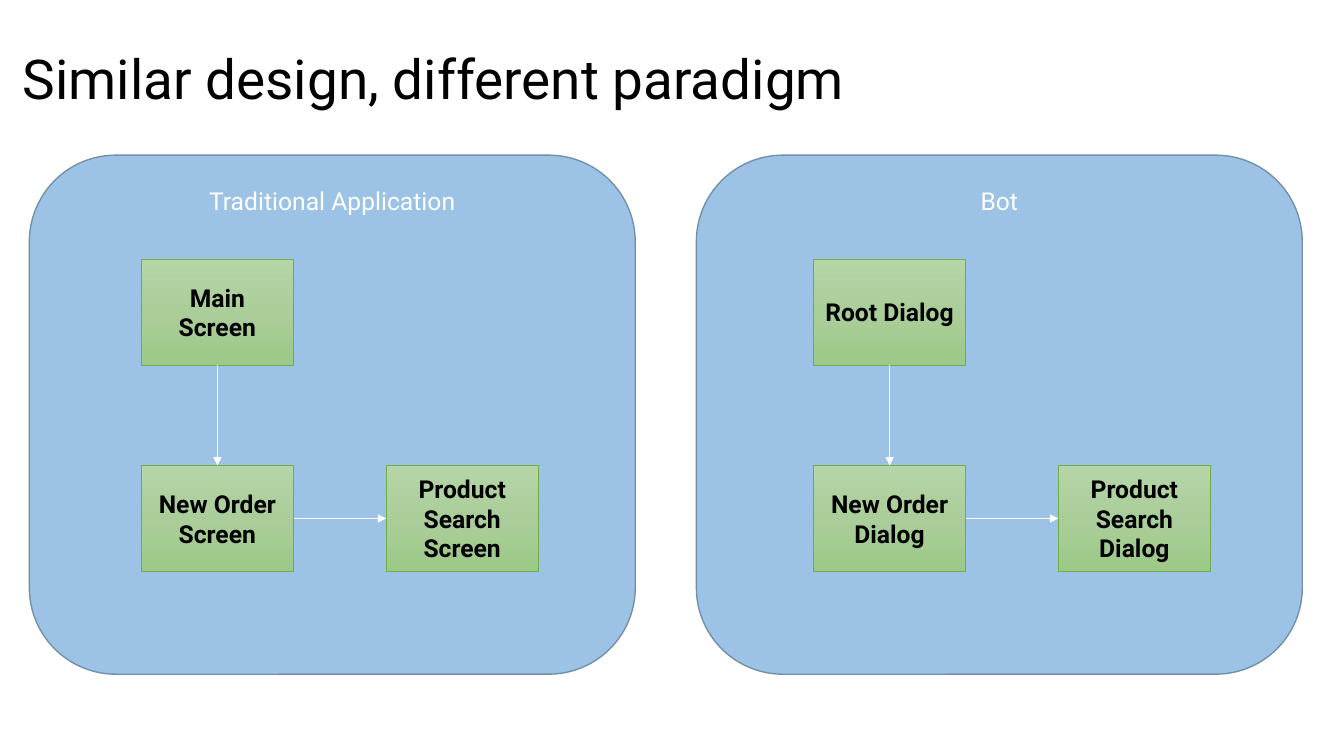
from copy import deepcopy

from lxml import etree
from pptx import Presentation
from pptx.dml.color import RGBColor
from pptx.enum.shapes import MSO_CONNECTOR, MSO_SHAPE
from pptx.enum.text import MSO_ANCHOR, PP_ALIGN
from pptx.oxml.ns import qn
from pptx.util import Cm, Pt

ROUNDED, RECTANGLE = MSO_SHAPE.ROUNDED_RECTANGLE, MSO_SHAPE.RECTANGLE
STRAIGHT = MSO_CONNECTOR.STRAIGHT
TOP, MIDDLE = MSO_ANCHOR.TOP, MSO_ANCHOR.MIDDLE
LEFT, CENTER = PP_ALIGN.LEFT, PP_ALIGN.CENTER
SIDE_TOP, SIDE_LEFT, SIDE_BOTTOM, SIDE_RIGHT = range(4)

BLACK = RGBColor(0x00, 0x00, 0x00)
WHITE = RGBColor(0xFF, 0xFF, 0xFF)
PANEL_BLUE = RGBColor(0x9C, 0xC3, 0xE5)
PANEL_EDGE = RGBColor(0x73, 0x90, 0xA9)
STEP_EDGE = RGBColor(0x70, 0xAD, 0x47)
STEP_GREENS = (
    RGBColor(0xB5, 0xD5, 0xA7),
    RGBColor(0xAA, 0xCE, 0x9A),
    RGBColor(0x9C, 0xC9, 0x87),
)

FONT = "Roboto"
PANEL_TOP, PANEL_WIDTH, PANEL_HEIGHT = Cm(3.91), Cm(15.27), Cm(13.08)
STEP_WIDTH, STEP_HEIGHT = Cm(3.84), Cm(2.67)
FIRST_ROW, SECOND_ROW = Cm(6.53), Cm(11.73)
COLUMN_PITCH = Cm(6.17)

DESIGNS = (
    ("Traditional Application", Cm(0.74), Cm(3.56),
     ("Main Screen", "New Order Screen", "Product Search Screen")),
    ("Bot", Cm(17.55), Cm(20.5),
     ("Root Dialog", "New Order Dialog", "Product Search Dialog")),
)


def write(shape, text, size=17.6, color=BLACK, bold=False, align=CENTER,
          anchor=MIDDLE, spacing=1.0):
    """Put formatted text into a shape."""
    frame = shape.text_frame
    frame.word_wrap = True
    frame.vertical_anchor = anchor
    paragraph = frame.paragraphs[0]
    paragraph.alignment = align
    paragraph.line_spacing = spacing
    run = paragraph.add_run()
    run.text = text
    run.font.name = FONT
    run.font.size = Pt(size)
    run.font.bold = bold
    run.font.color.rgb = color


def add_title(slide, text):
    """Add the slide heading."""
    title = slide.shapes.add_textbox(Cm(0.33), Cm(0.81), Cm(32.39), Cm(2.49))
    write(title, text, size=39.2, align=LEFT, spacing=0.9)


def add_panel(group, left, heading):
    """Add the rounded panel behind one design."""
    panel = group.shapes.add_shape(ROUNDED, left, PANEL_TOP, PANEL_WIDTH, PANEL_HEIGHT)
    panel.shadow.inherit = False
    panel.fill.solid()
    panel.fill.fore_color.rgb = PANEL_BLUE
    panel.line.color.rgb = PANEL_EDGE
    panel.line.width = Pt(1)
    write(panel, heading, color=WHITE, anchor=TOP)


def fill_step(step):
    """Shade a step from light green at the top to darker green."""
    step.fill.gradient()
    step.fill.gradient_angle = 270
    stop_list = step._element.spPr.find(".//" + qn("a:gsLst"))
    middle_stop = deepcopy(stop_list[0])
    middle_stop.set("pos", "50000")
    stop_list.insert(1, middle_stop)
    for stop, green in zip(step.fill.gradient_stops, STEP_GREENS):
        stop.color.rgb = green


def add_step(group, left, top, label):
    """Add one screen or dialog box."""
    step = group.shapes.add_shape(RECTANGLE, left, top, STEP_WIDTH, STEP_HEIGHT)
    step.shadow.inherit = False
    fill_step(step)
    step.line.color.rgb = STEP_EDGE
    step.line.width = Pt(0.5)
    write(step, label, bold=True)
    return step


def add_arrow(group, source, source_side, target, target_side):
    """Join two steps with a white arrow."""
    arrow = group.shapes.add_connector(
        STRAIGHT, source.left, source.top, target.left, target.top)
    arrow.begin_connect(source, source_side)
    arrow.end_connect(target, target_side)
    arrow.line.color.rgb = WHITE
    arrow.line.width = Pt(0.5)
    etree.SubElement(arrow.line._get_or_add_ln(), qn("a:tailEnd"), type="triangle")
    etree.SubElement(arrow._element.spPr, qn("a:effectLst"))


def add_design(slide, heading, panel_left, step_left, labels):
    """Add a panel with its three linked steps as one group."""
    group = slide.shapes.add_group_shape()
    add_panel(group, panel_left, heading)
    places = (
        (step_left, FIRST_ROW),
        (step_left, SECOND_ROW),
        (step_left + COLUMN_PITCH, SECOND_ROW),
    )
    start, order, search = [
        add_step(group, left, top, label)
        for (left, top), label in zip(places, labels)
    ]
    add_arrow(group, start, SIDE_BOTTOM, order, SIDE_TOP)
    add_arrow(group, order, SIDE_RIGHT, search, SIDE_LEFT)


def main():
    """Build and save the slide."""
    deck = Presentation()
    deck.slide_width, deck.slide_height = Cm(33.87), Cm(19.05)
    slide = deck.slides.add_slide(deck.slide_layouts[6])
    add_title(slide, "Similar design, different paradigm")
    for design in DESIGNS:
        add_design(slide, *design)
    deck.save("out.pptx")


if __name__ == "__main__":
    main()
